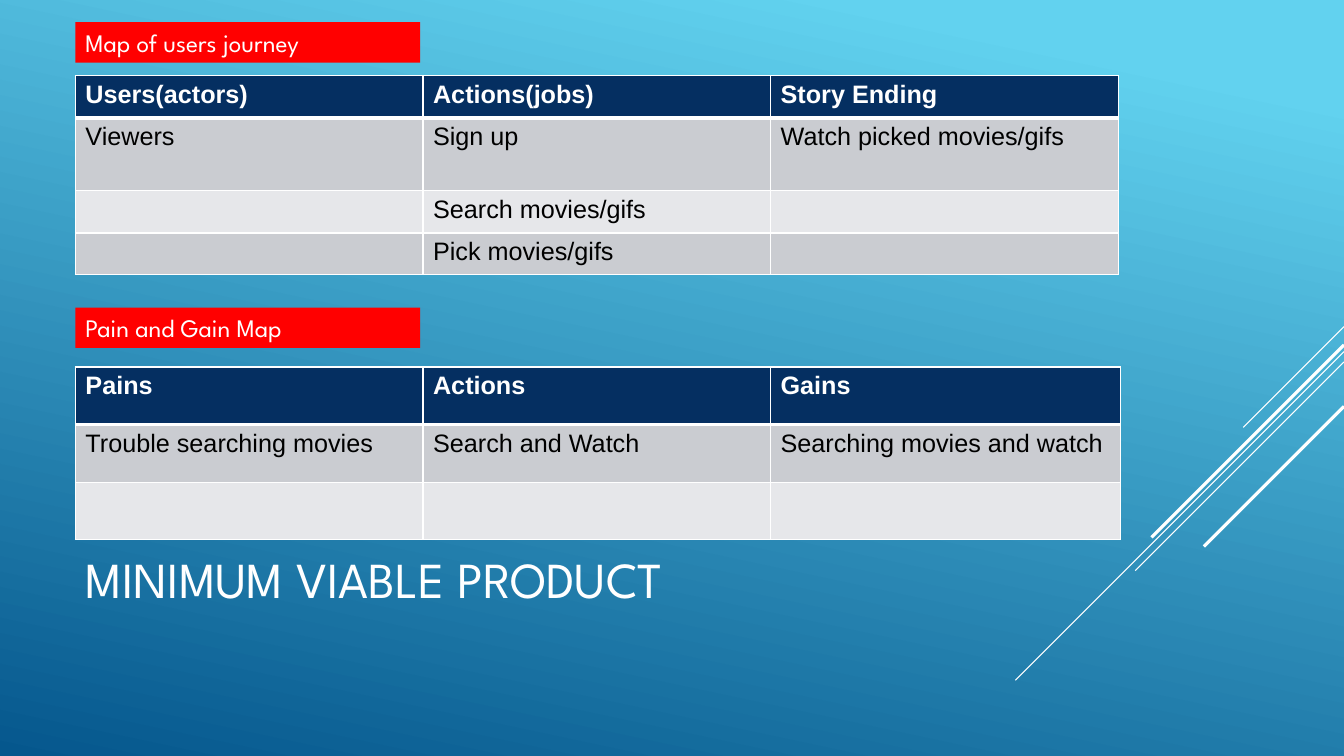
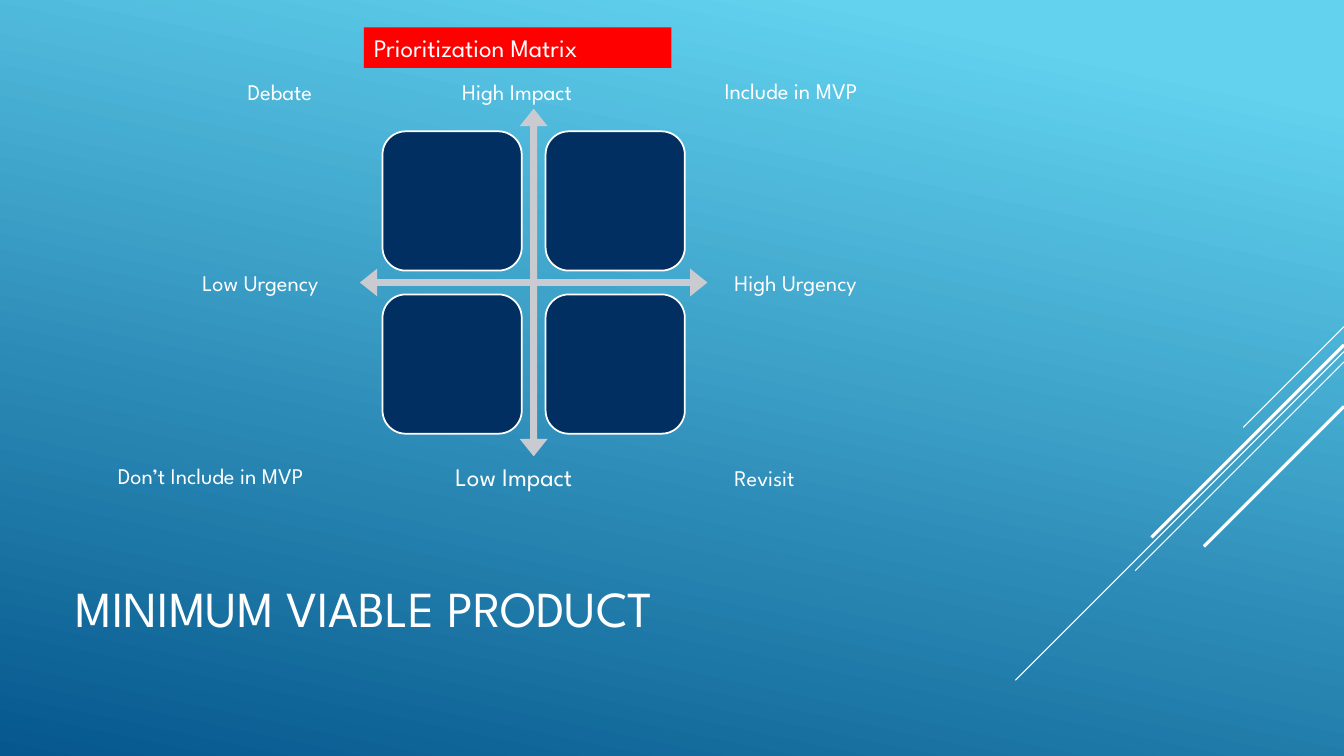
"""Build two slides on a minimum viable product: journey tables and a priority matrix."""
from lxml import etree
from pptx import Presentation
from pptx.dml.color import RGBColor
from pptx.enum.shapes import MSO_CONNECTOR, MSO_SHAPE
from pptx.enum.text import MSO_ANCHOR, MSO_AUTO_SIZE, PP_ALIGN
from pptx.oxml.ns import qn
from pptx.util import Cm, Pt

LINE = MSO_CONNECTOR.STRAIGHT
ROUND, CROSS = MSO_SHAPE.ROUNDED_RECTANGLE, MSO_SHAPE.QUAD_ARROW
LEFT, MIDDLE, FIXED = PP_ALIGN.LEFT, MSO_ANCHOR.MIDDLE, MSO_AUTO_SIZE.NONE

HUES = {
    "sky": "62D2EF", "deep": "05578D", "white": "FFFFFF", "black": "000000",
    "red": "FF0000", "head": "052F61", "odd": "CACCD1", "even": "E6E7EA",
    "tile": "022F61", "cross": "C9CBD1",
}
FACE, PLAIN = "League Spartan", "Arial"
WIDE, HIGH = 33.87, 19.05
TITLE = "MINIMUM VIABLE PRODUCT"

# Each ray starts at the right edge and falls at 45 degrees: top, run, weight.
RAYS = [(8.23, 2.54, 0.75), (8.86, 8.28, 0.75), (9.12, 5.26, 0.75),
        (8.69, 4.85, 2.25), (10.24, 3.53, 2.25)]

TABLES = [
    {"tag": ("Map of users journey", 1.9, 0.56, 8.69), "top": 1.9,
     "cols": [8.76, 8.76, 8.76], "rows": [1.07, 1.83, 1.07, 1.04],
     "cells": [("Users(actors)", "Actions(jobs)", "Story Ending"),
               ("Viewers", "Sign up", "Watch picked movies/gifs"),
               ("", "Search movies/gifs", ""),
               ("", "Pick movies/gifs", "")]},
    {"tag": ("Pain and Gain Map", 1.9, 7.75, 8.69), "top": 9.25,
     "cols": [8.76, 8.76, 8.81], "rows": [1.45, 1.45, 1.45],
     "cells": [("Pains", "Actions", "Gains"),
               ("Trouble searching movies", "Search and Watch",
                "Searching movies and watch"),
               ("", "", "")]},
]

MATRIX = ("Prioritization Matrix", 9.17, 0.69, 7.75)
LABELS = [
    ("High Impact", 11.4, 1.85, 4.09, 16),
    ("Include in MVP", 18.01, 1.83, 5.08, 16),
    ("Debate", 5.99, 1.85, 3.25, 16),
    ("Low Impact", 11.23, 11.51, 4.27, 18),
    ("Revisit", 18.26, 11.58, 2.77, 16),
    ("Low Urgency", 4.85, 6.65, 4.17, 16),
    ("High Urgency", 18.26, 6.65, 4.32, 16),
    ("Don’t Include in MVP", 2.72, 11.51, 6.5, 16),
]
ARROW = (9.07, 2.74, 8.76)
TILE, PITCH = 3.51, 4.11


def rgb(hue):
    return RGBColor.from_string(HUES[hue])


def box(*sides):
    return [Cm(side) for side in sides]


def paint(fill, hue):
    fill.solid()
    fill.fore_color.rgb = rgb(hue)


def write(frame, text, size, face=FACE, hue="white", bold=False):
    frame.text = text
    para = frame.paragraphs[0]
    para.alignment = LEFT
    font = para.font
    font.size, font.name, font.bold = Pt(size), face, bold
    font.color.rgb = rgb(hue)


def label(slide, text, x, y, w, size, h=0.94):
    item = slide.shapes.add_textbox(*box(x, y, w, h))
    item.text_frame.word_wrap = True
    write(item.text_frame, text, size)
    return item


def tag(slide, text, x, y, w):
    paint(label(slide, text, x, y, w, 18, 1.02).fill, "red")


def page(deck, *place):
    slide = deck.slides.add_slide(deck.slide_layouts[5])
    title = slide.shapes.title
    title.left, title.top, title.width, title.height = box(*place)
    frame = title.text_frame
    frame.auto_size, frame.vertical_anchor = FIXED, MIDDLE
    write(frame, TITLE, 36)
    return slide


def dress(deck, slide):
    master = deck.slide_master
    fill = master.background.fill
    fill.gradient()
    fill.gradient_angle = 360 - 102
    for stop, hue, spot in zip(fill.gradient_stops, ("sky", "deep"), (0.1, 1)):
        stop.color.rgb, stop.position = rgb(hue), spot
    for num, (top, run, weight) in enumerate(RAYS, 20):
        ray = slide.shapes.add_connector(
            LINE, *box(WIDE, top, WIDE - run, top + run))
        ray.line.color.rgb, ray.line.width = rgb("white"), Pt(weight)
        ray.name = f"Ray {num}"
        node = ray.element
        etree.SubElement(node.spPr, qn("a:effectLst"))
        node.nvCxnSpPr.cNvPr.set("id", str(num))
        master.element.cSld.spTree.append(node)


def edge(cell, row):
    props = cell._tc.get_or_add_tcPr()
    thick = {(0, "B"), (1, "T")}
    for spot, side in enumerate("LRTB"):
        width = Pt(3 if (row, side) in thick else 1)
        line = etree.Element(qn(f"a:ln{side}"), w=str(width))
        fill = etree.SubElement(line, qn("a:solidFill"))
        etree.SubElement(fill, qn("a:srgbClr"), val=HUES["white"])
        props.insert(spot, line)


def chart(slide, data):
    cols, rows = data["cols"], data["rows"]
    grid = slide.shapes.add_table(
        len(rows), len(cols), *box(1.9, data["top"], sum(cols), sum(rows))).table
    for col, width in zip(grid.columns, cols):
        col.width = Cm(width)
    for r, texts in enumerate(data["cells"]):
        grid.rows[r].height = Cm(rows[r])
        head = r == 0
        for c, text in enumerate(texts):
            cell = grid.cell(r, c)
            write(cell.text_frame, text, 18, PLAIN,
                  "white" if head else "black", head)
            paint(cell.fill, "head" if head else "odd" if r % 2 else "even")
            edge(cell, r)


def form(slide, kind, x, y, size, hue, tweaks):
    item = slide.shapes.add_shape(kind, *box(x, y, size, size))
    item.shadow.inherit = False
    paint(item.fill, hue)
    item.line.fill.background()
    for spot, tweak in enumerate(tweaks):
        item.adjustments[spot] = tweak
    return item


def matrix(slide):
    x, y, span = ARROW
    form(slide, CROSS, x, y, span, "cross", (0.02, 0.04, 0.05))
    inset = (span - PITCH - TILE) / 2
    for num in range(4):
        row, col = divmod(num, 2)
        tile = form(slide, ROUND, x + inset + col * PITCH,
                    y + inset + row * PITCH, TILE, "tile", (0.167,))
        tile.line.color.rgb, tile.line.width = rgb("white"), Pt(1.25)


def main():
    deck = Presentation()
    deck.slide_width, deck.slide_height = box(WIDE, HIGH)

    maps = page(deck, 1.9, 12.47, 23.7, 4.19)
    dress(deck, maps)
    for data in TABLES:
        chart(maps, data)
        tag(maps, *data["tag"])

    plan = page(deck, 1.65, 13.97, 23.11, 2.67)
    matrix(plan)
    tag(plan, *MATRIX)
    for item in LABELS:
        label(plan, *item)

    deck.save("out.pptx")


if __name__ == "__main__":
    main()
